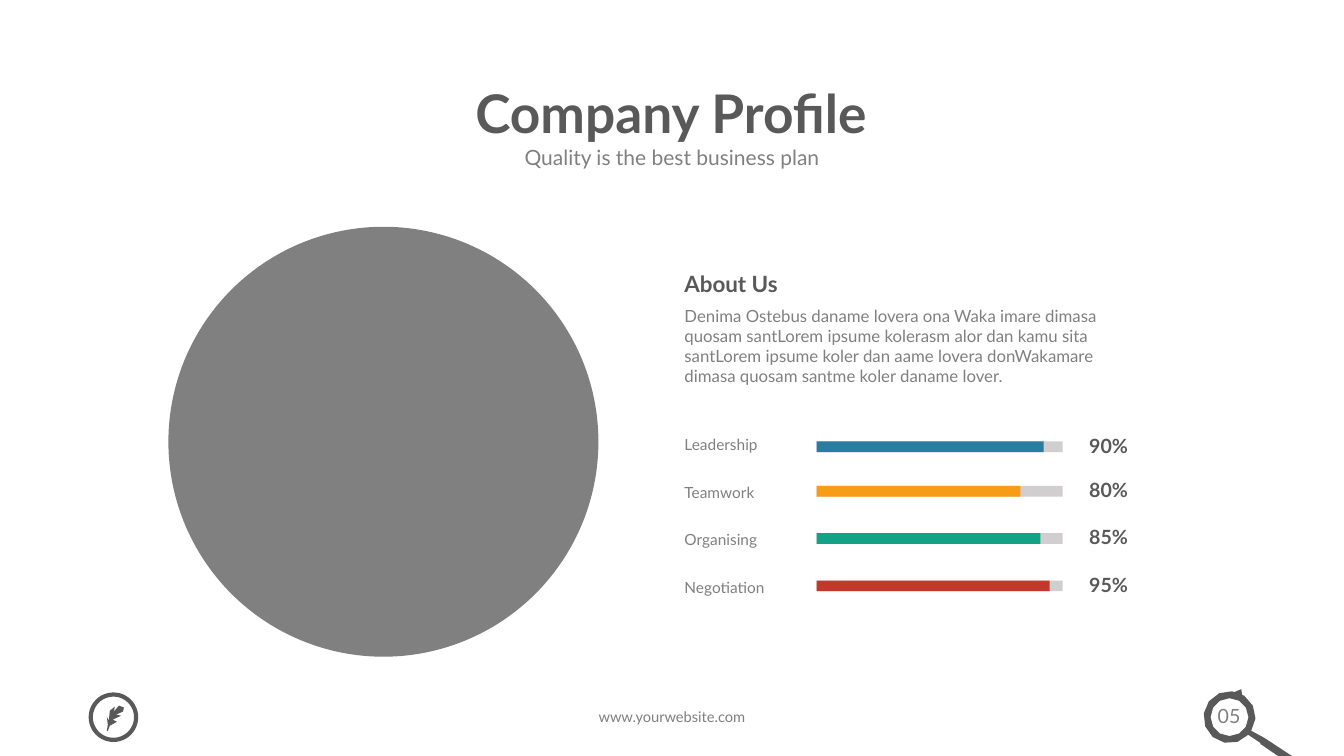
"""Build the Company Profile slide on a grid of 75 rows of square cells."""
import math
from dataclasses import dataclass, field
from typing import Any

import pptx
import pptx.dml.color
import pptx.enum.shapes
import pptx.enum.text
import pptx.util

SLIDE_WIDTH = pptx.util.Inches(13.33)
SLIDE_HEIGHT = pptx.util.Inches(7.5)
CELL = SLIDE_HEIGHT / 75
DARK, GREY, TRACK = "595959", "808080", "D0CECE"
CENTER = pptx.enum.text.PP_ALIGN.CENTER
MIDDLE = pptx.enum.text.MSO_ANCHOR.MIDDLE
FIT_SHAPE = pptx.enum.text.MSO_AUTO_SIZE.SHAPE_TO_FIT_TEXT
NO_FIT = pptx.enum.text.MSO_AUTO_SIZE.NONE
PRESETS = pptx.enum.shapes.MSO_SHAPE

Box = tuple[float, float, float, float]
Contour = list[tuple[float, float]]


@dataclass
class Label:
    box: Box
    lines: list[str]
    size: float
    color: str = GREY
    bold: bool = False
    paragraph_format: dict[str, Any] = field(default_factory=dict)
    frame_format: dict[str, Any] = field(default_factory=dict)


@dataclass
class Skill:
    name: str
    percent: str
    color: str
    bar_row: float
    bar_columns: float


SKILLS = [
    Skill("Leadership", "90%", "297E9F", 43.8, 22.5),
    Skill("Teamwork", "80%", "F69C15", 48.2, 20.2),
    Skill("Organising", "85%", "13A286", 52.9, 22.2),
    Skill("Negotiation", "95%", "C3382B", 57.6, 23.1),
]

LABELS = [
    Label((66.9, 26.3, 11.4, 3.7), ["About Us"], 16, DARK, True, frame_format={"word_wrap": False}),
    Label((66.9, 29.8, 42.9, 9.1), [
        "Denima Ostebus daname lovera ona Waka imare dimasa "
        "quosam santLorem ipsume kolerasm alor dan kamu sita",
        "santLorem ipsume koler dan aame lovera donWakamare "
        "dimasa quosam santme koler daname lover.",
    ], 12),
    Label((16.55, 7.45, 100, 8.2), ["Company Profile"], 38, DARK, True,
          {"alignment": CENTER, "line_spacing": 0.9},
          {"vertical_anchor": MIDDLE, "auto_size": NO_FIT}),
    Label((26.7, 13.6, 79.9, 3.9), ["Quality is the best business plan"], 15,
          paragraph_format={"alignment": CENTER},
          frame_format={"margin_left": pptx.util.Inches(0.13),
                        "margin_right": pptx.util.Inches(0.13),
                        "margin_top": pptx.util.Inches(0.07),
                        "margin_bottom": pptx.util.Inches(0.07)}),
    Label((42.5, 69.7, 48.3, 2.9), ["www.yourwebsite.com"], 10.5,
          paragraph_format={"alignment": CENTER}),
    Label((118.85, 69.3, 6.1, 3.4), ["05"], 14, paragraph_format={"alignment": CENTER}),
]

HANDLE: Contour = [(124.1, 72.5), (125.4, 73.2), (129.2, 75.7), (129.2, 76.2),
                   (128.8, 76.4), (125, 73.8), (125, 73.7), (123.8, 72.9)]

FEATHER: Contour = [
    (10.7, 72.5), (10.9, 72), (11.6, 71.6), (11.2, 71.4), (12, 71), (11.5, 70.9),
    (12.2, 70.6), (12.3, 70.2), (11.8, 70), (11.3, 70.6), (11.4, 70.1), (10.9, 70.5),
    (10.8, 71.5), (10.6, 71.1), (10.7, 71.9), (10.6, 72.5),
]


def rgb(color: str) -> pptx.dml.color.RGBColor:
    """Turn a hex string into a colour."""
    return pptx.dml.color.RGBColor.from_string(color)


def cells(*lengths: float) -> list[int]:
    """Turn grid lengths into slide units."""
    return [round(length * CELL) for length in lengths]


def apply(target: Any, values: dict[str, Any]) -> None:
    """Set every format value on the target."""
    for name, value in values.items():
        setattr(target, name, value)


def paint(shape: Any, color: str) -> None:
    """Give a shape a flat fill without line or shadow."""
    shape.shadow.inherit = False
    shape.fill.solid()
    shape.fill.fore_color.rgb = rgb(color)
    shape.line.fill.background()


def add_preset(slide: Any, preset: Any, box: Box, color: str) -> Any:
    """Draw a flat preset shape."""
    shape = slide.shapes.add_shape(preset, *cells(*box))
    paint(shape, color)
    return shape


def add_label(slide: Any, label: Label) -> None:
    """Draw a text box."""
    frame = slide.shapes.add_textbox(*cells(*label.box)).text_frame
    apply(frame, {"word_wrap": True, "auto_size": FIT_SHAPE} | label.frame_format)
    for index, line in enumerate(label.lines):
        paragraph = frame.add_paragraph() if index else frame.paragraphs[0]
        apply(paragraph, label.paragraph_format)
        run = paragraph.add_run()
        run.text = line
        apply(run.font, {"name": "Lato", "size": pptx.util.Pt(label.size), "bold": label.bold})
        run.font.color.rgb = rgb(label.color)


def lens_arc(radius: float, start: float, end: float, steps: int = 12) -> Contour:
    """Place points along an arc around the lens, without its two ends."""
    angles = [math.radians(start + (end - start) * step / steps) for step in range(1, steps)]
    return [(121.95 + radius * math.cos(angle), 71.15 + radius * math.sin(angle))
            for angle in angles]


def add_outline(slide: Any, contours: list[Contour], color: str) -> None:
    """Draw a flat freeform from one or more contours."""
    first, *others = [[tuple(cells(*point)) for point in contour] for contour in contours]
    builder = slide.shapes.build_freeform(*first[0])
    builder.add_line_segments(first[1:], close=True)
    for points in others:
        builder.move_to(*points[0])
        builder.add_line_segments(points[1:], close=True)
    paint(builder.convert_to_shape(), color)


def add_skill(slide: Any, index: int, skill: Skill) -> None:
    """Draw a skill's name, bar and percentage."""
    add_label(slide, Label((66.9, 42.68 + 4.73 * index, 15.4, 2.9), [skill.name], 11))
    for columns, color in ((24.4, TRACK), (skill.bar_columns, skill.color)):
        add_preset(slide, PRESETS.RECTANGLE, (81, skill.bar_row, columns, 1.06), color)
    add_label(slide, Label((104.55, skill.bar_row - 0.63, 10.8, 2.7), [skill.percent], 14,
                           DARK, True, {"alignment": CENTER, "line_spacing": 0.7}))


def main() -> None:
    """Build and save the slide."""
    presentation = pptx.Presentation()
    apply(presentation, {"slide_width": SLIDE_WIDTH, "slide_height": SLIDE_HEIGHT})
    slide = presentation.slides.add_slide(presentation.slide_layouts[6])
    for index, skill in enumerate(SKILLS):
        add_skill(slide, index, skill)
    add_preset(slide, PRESETS.OVAL, (16.7, 22.5, 42.65, 42.65), GREY)
    for label in LABELS:
        add_label(slide, label)
    arrow = add_preset(slide, PRESETS.RIGHT_ARROW, (122.3, 68.3, 1.1, 1.1), DARK)
    arrow.rotation = 298.7
    arrow.adjustments[0], arrow.adjustments[1] = 0.32, 0.64
    add_outline(slide, [HANDLE + lens_arc(2.58, 43, 392), lens_arc(1.88, 0, 390, 13)], DARK)
    badge = add_preset(slide, PRESETS.OVAL, (9, 68.9, 4.5, 4.5), DARK)
    badge.fill.background()
    badge.line.color.rgb = rgb(DARK)
    badge.line.width = pptx.util.Pt(3)
    add_outline(slide, [FEATHER], DARK)
    presentation.save("out.pptx")


if __name__ == "__main__":
    main()
